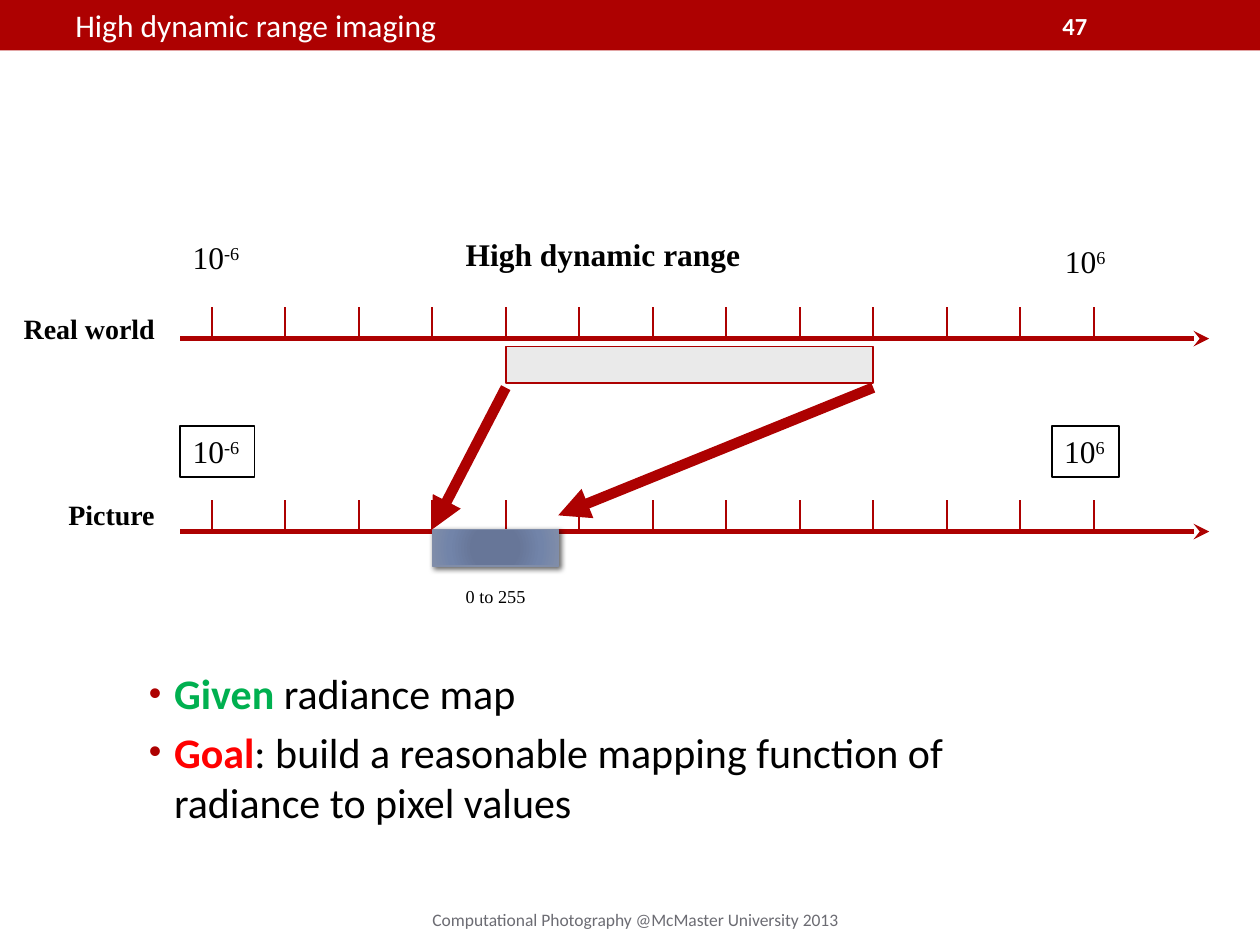
from dataclasses import dataclass
from typing import NamedTuple

from pptx import Presentation
from pptx.dml.color import RGBColor
from pptx.enum.shapes import MSO_CONNECTOR, MSO_SHAPE
from pptx.enum.text import MSO_ANCHOR, MSO_AUTO_SIZE, PP_ALIGN
from pptx.oxml import parse_xml
from pptx.oxml.ns import nsdecls
from pptx.util import Pt

RECTANGLE = MSO_SHAPE.RECTANGLE
STRAIGHT = MSO_CONNECTOR.STRAIGHT
LEFT, CENTER = PP_ALIGN.LEFT, PP_ALIGN.CENTER
TOP, MIDDLE = MSO_ANCHOR.TOP, MSO_ANCHOR.MIDDLE
FIT, FIXED = MSO_AUTO_SIZE.SHAPE_TO_FIT_TEXT, MSO_AUTO_SIZE.NONE


@dataclass(frozen=True)
class Theme:
    sans: str = "Calibri"
    serif: str = "Times New Roman"
    red: str = "AD0101"
    white: str = "FFFFFF"
    black: str = "000000"
    footer: str = "6C6C73"
    band: str = "EAEAEA"
    given: str = "00B050"
    goal: str = "FF0000"
    edge: str = "808DA9"
    gradient: tuple = ((0, "65769A"), (34, "677698"), (70, "7284A9"), (100, "808DA9"))
    body_size: float = 24
    label_size: float = 18
    name_size: float = 16
    number_size: float = 14
    footer_size: float = 10


THEME = Theme()


class Box(NamedTuple):
    left: float
    top: float
    width: float
    height: float


class Span(NamedTuple):
    text: str
    color: str = THEME.black
    bold: bool = False
    raised: bool = False


class Axis(NamedTuple):
    name: str
    name_box: Box
    line_y: float
    minimum_box: Box
    maximum_box: Box
    framed: bool


AXIS_LEFT, AXIS_RIGHT = 103, 691
TICK_LEFT, TICK_GAP, TICK_COUNT, TICK_HEIGHT = 121, 42, 13, 18
AXES = (
    Axis("Real world", Box(6.5, 174.5, 91, 26.5), 193.5,
         Box(103, 132.5, 42.5, 29), Box(601.5, 135, 38.5, 29), False),
    Axis("Picture", Box(32, 280.5, 65, 26.5), 303.75,
         Box(103, 243.5, 42.5, 29), Box(601, 243.5, 38.5, 29), True),
)


def tick_x(index: int) -> float:
    return TICK_LEFT + index * TICK_GAP


def rgb(value: str) -> RGBColor:
    return RGBColor.from_string(value)


def add_text(page, box: Box, *paragraphs, font=THEME.serif, size=THEME.label_size,
             align=LEFT, anchor=TOP, wrap=False, bullets=False, frame=None):
    shape = page.shapes.add_textbox(*map(Pt, box))
    if frame:
        shape.line.color.rgb = rgb(frame)
        shape.line.width = Pt(1)
    text_frame = shape.text_frame
    text_frame.word_wrap = wrap
    text_frame.auto_size = FIXED if wrap else FIT
    text_frame.vertical_anchor = anchor
    for index, spans in enumerate(paragraphs):
        para = text_frame.add_paragraph() if index else text_frame.paragraphs[0]
        para.alignment = align
        if index:
            para.space_before = Pt(size * 0.2)
        if bullets:
            add_bullet(para)
        for span in spans:
            run = para.add_run()
            run.text = span.text
            run.font.name = font
            run.font.size = Pt(size)
            run.font.bold = span.bold
            run.font.color.rgb = rgb(span.color)
            if span.raised:
                run.font._element.set("baseline", "30000")


def add_bullet(para) -> None:
    properties = para._p.get_or_add_pPr()
    properties.set("marL", str(Pt(14.4)))
    properties.set("indent", str(-Pt(14.4)))
    for xml in (f'<a:buClr {nsdecls("a")}><a:srgbClr val="{THEME.red}"/></a:buClr>',
                f'<a:buSzPct {nsdecls("a")} val="85000"/>',
                f'<a:buFont {nsdecls("a")} typeface="Arial"/>',
                f'<a:buChar {nsdecls("a")} char="•"/>'):
        properties.append(parse_xml(xml))


def add_rectangle(page, box: Box, fill=None, line=None, weight=1.0):
    shape = page.shapes.add_shape(RECTANGLE, *map(Pt, box))
    shape.shadow.inherit = False
    if fill:
        shape.fill.solid()
        shape.fill.fore_color.rgb = rgb(fill)
    if line:
        shape.line.color.rgb = rgb(line)
        shape.line.width = Pt(weight)
    else:
        shape.line.fill.background()
    return shape


def add_line(page, start: tuple, end: tuple, weight: float, head=None) -> None:
    line = page.shapes.add_connector(STRAIGHT, *map(Pt, (*start, *end)))
    line.line.color.rgb = rgb(THEME.red)
    line.line.width = Pt(weight)
    if head:
        line.line._get_or_add_ln().append(
            parse_xml(f'<a:tailEnd {nsdecls("a")} type="{head}"/>'))
    line._element.spPr.append(parse_xml(f'<a:effectLst {nsdecls("a")}/>'))


def add_axis(page, axis: Axis) -> None:
    frame = THEME.black if axis.framed else None
    for box, power in ((axis.minimum_box, "-6"), (axis.maximum_box, "6")):
        add_text(page, box, (Span("10"), Span(power, raised=True)), frame=frame)
    for index in range(TICK_COUNT):
        x = tick_x(index)
        add_line(page, (x, axis.line_y - TICK_HEIGHT), (x, axis.line_y), 1)
    add_line(page, (AXIS_LEFT, axis.line_y), (AXIS_RIGHT, axis.line_y), 3, "stealth")
    add_text(page, axis.name_box, (Span(axis.name, bold=True),), size=THEME.name_size)


def add_pixel_range(page, box: Box) -> None:
    shape = add_rectangle(page, box, line=THEME.edge, weight=0.75)
    stops = "".join(f'<a:gs pos="{position * 1000}"><a:srgbClr val="{color}"/></a:gs>'
                    for position, color in THEME.gradient)
    properties = shape._element.spPr
    properties.insert(2, parse_xml(
        f'<a:gradFill {nsdecls("a")}><a:gsLst>{stops}</a:gsLst><a:path path="circle">'
        '<a:fillToRect l="50000" t="50000" r="50000" b="50000"/></a:path></a:gradFill>'))
    effects = properties.find("{*}effectLst")
    effects.append(parse_xml(
        f'<a:outerShdw {nsdecls("a")} blurRad="{Pt(3)}" dist="{Pt(2)}" dir="2700000">'
        f'<a:srgbClr val="{THEME.black}"><a:alpha val="60000"/></a:srgbClr></a:outerShdw>'))


def main() -> None:
    deck = Presentation()
    deck.slide_width, deck.slide_height = Pt(720), Pt(540)
    page = deck.slides.add_slide(deck.slide_layouts[6])

    add_rectangle(page, Box(0, 0, 720, 28.8), fill=THEME.red)
    add_text(page, Box(120, 516, 486, 19.5),
             (Span("Computational Photography @McMaster University 2013", THEME.footer),),
             font=THEME.sans, size=THEME.footer_size, align=CENTER, wrap=True)
    add_text(page, Box(600, 1.5, 84, 26), (Span("47", THEME.white, True),),
             font=THEME.sans, size=THEME.number_size, anchor=MIDDLE, wrap=True)

    for axis in AXES:
        add_axis(page, axis)

    world_left, world_right, pixel_left = tick_x(4), tick_x(9), tick_x(3)
    pixel_right = pixel_left + 72
    add_text(page, Box(259, 329, 54, 21.5), (Span("0 to 255", raised=True),))
    add_rectangle(page, Box(world_left, 198, world_right - world_left, 21),
                  fill=THEME.band, line=THEME.red)
    add_pixel_range(page, Box(pixel_left, 302.5, 72, 21))
    add_text(page, Box(259, 131, 173, 29), (Span("High dynamic range", bold=True),))
    add_line(page, (world_left, 221.5), (pixel_left, 302.5), 6, "triangle")
    add_line(page, (world_right, 221.5), (pixel_right, 294.5), 6, "triangle")

    add_text(page, Box(36, 0, 223, 29), (Span("High dynamic range imaging", THEME.white),),
             font=THEME.sans)
    add_text(page, Box(78, 378, 543, 102),
             (Span("Given", THEME.given, True), Span(" radiance map")),
             (Span("Goal", THEME.goal, True),
              Span(": build a reasonable mapping function of radiance to pixel values")),
             font=THEME.sans, size=THEME.body_size, wrap=True, bullets=True)
    deck.save("out.pptx")


if __name__ == "__main__":
    main()
